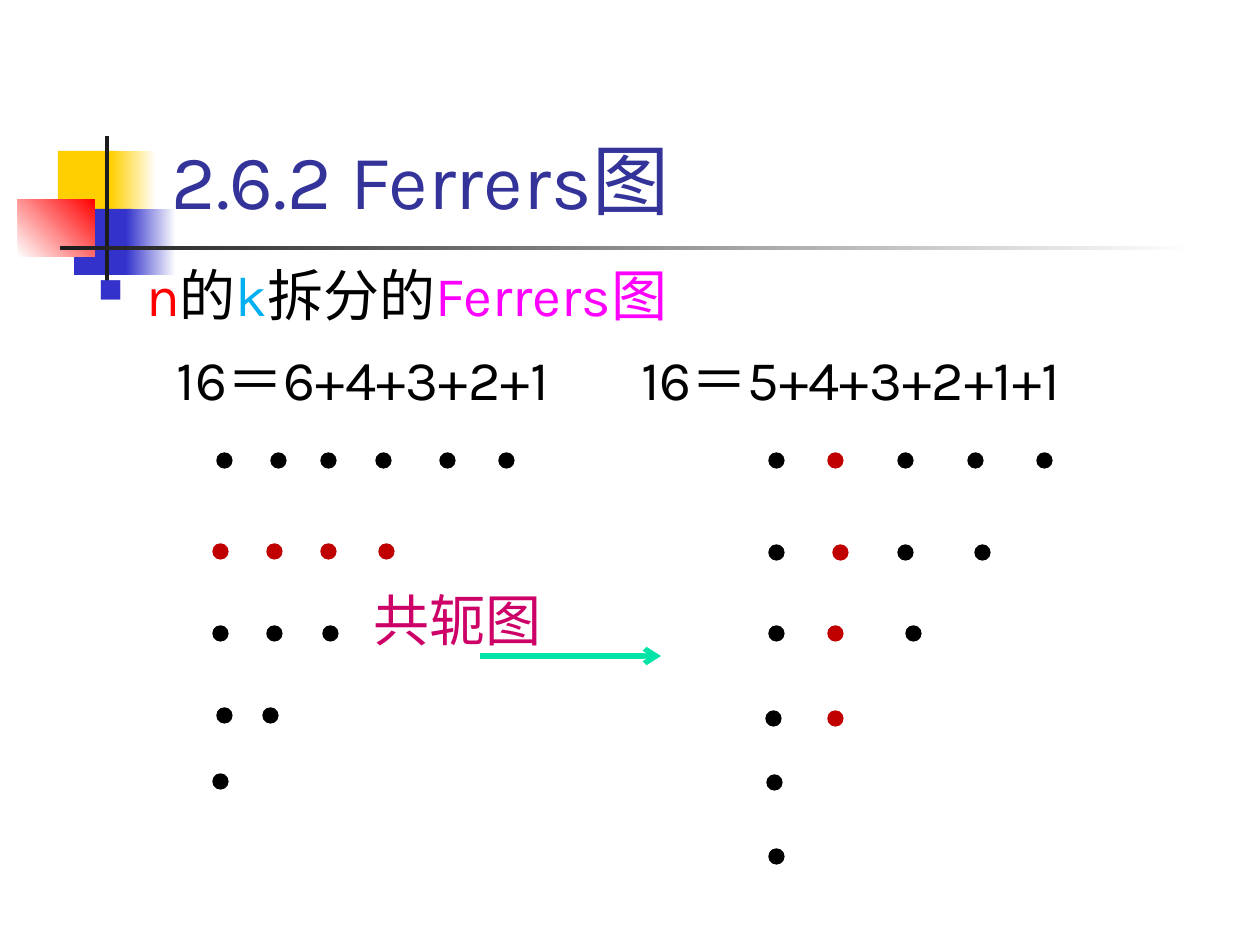
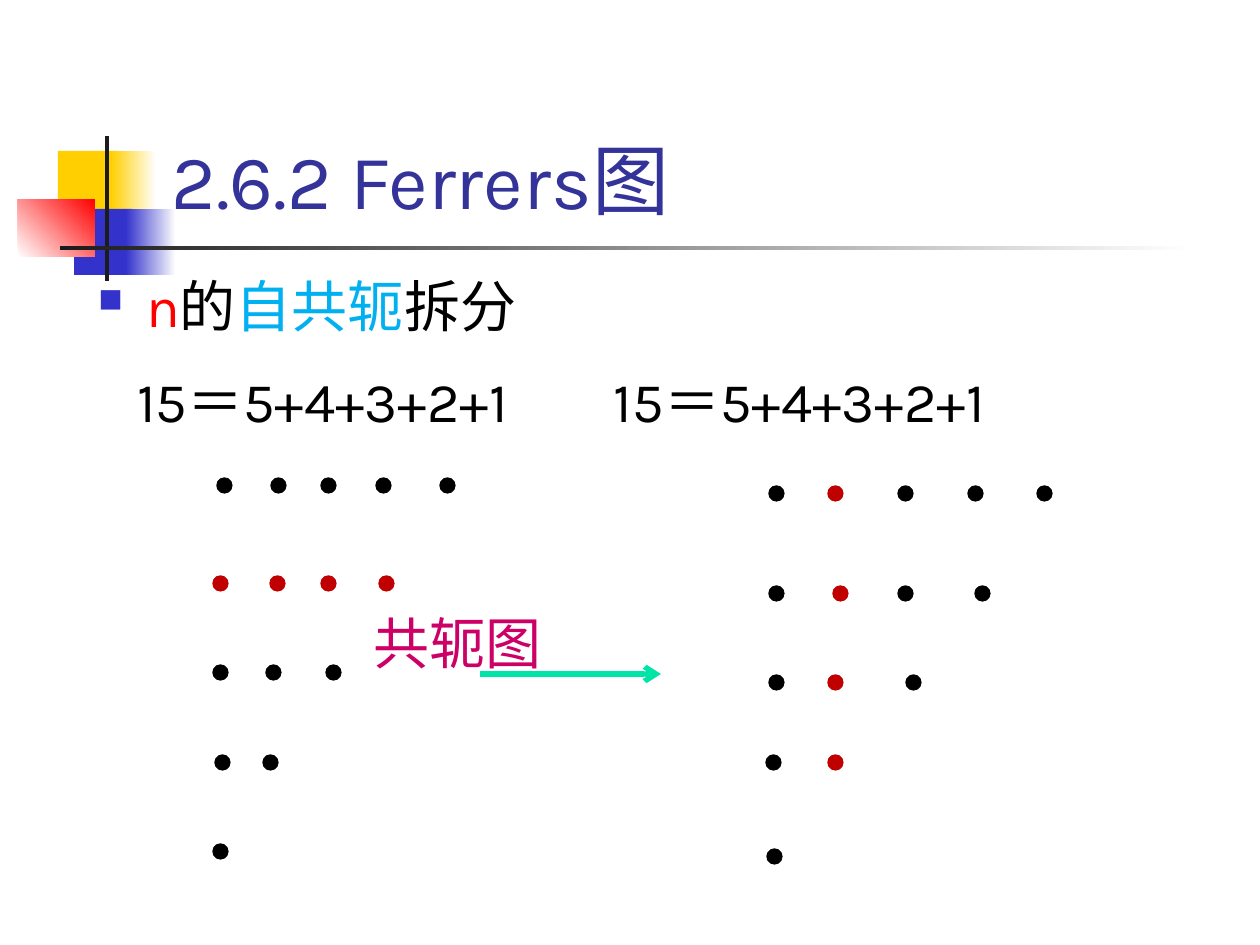
from lxml import etree
from pptx import Presentation
from pptx.dml.color import RGBColor
from pptx.enum.shapes import MSO_CONNECTOR, MSO_SHAPE
from pptx.enum.text import MSO_ANCHOR, MSO_AUTO_SIZE, PP_ALIGN
from pptx.oxml.ns import qn
from pptx.util import Emu, Pt

SCALE = 914400 / 126
RECT, OVAL = MSO_SHAPE.RECTANGLE, MSO_SHAPE.OVAL
LINE = MSO_CONNECTOR.STRAIGHT
FONT = "Karla"
TITLE = "2.6.2 Ferrers图"
DOT = 15

COLORS = {
    "white": "FFFFFF", "black": "000000", "ink": "1C1C1C", "gold": "FFCF01",
    "blue": "3333CC", "red": "FF0000", "navy": "333399", "sky": "00B0F0",
    "pink": "FF00FF", "rose": "CC0066", "dark": "C00000", "mint": "00E4A8",
}

# place, colour, second gradient colour, gradient angle
BANDS = [
    ((58, 151, 60, 66), "gold", None, 0),
    ((111, 151, 45, 66), "gold", "white", 0),
    ((74, 209, 58, 66), "blue", None, 0),
    ((126, 209, 50, 66), "blue", "white", 0),
    ((18, 199, 77, 58), "white", "red", 45),
    ((105, 136, 4, 145), "ink", None, 0),
    ((60, 246, 1134, 4), "ink", "white", 0),
]

# Left edges of the dots, row by row
RIGHT = [
    (769, 828, 898, 968, 1037),
    (769, 833, 898, 975),
    (769, 828, 906),
    (766, 828),
    (767,),
    (769,),
]

PAGES = [
    {
        "head": [("n", "red"), ("的", "black"), ("k", "sky"),
                 ("拆分的", "black"), ("Ferrers图", "pink")],
        "head_y": 261,
        "sums": [(177, "16＝6+4+3+2+1"), (641, "16＝5+4+3+2+1+1")],
        "sum_y": 344, "label_y": 585, "arrow_y": 656,
        "left": [(217, 271, 321, 376, 440, 499), (213, 267, 321, 379),
                 (213, 267, 323), (217, 263), (213,)],
        "left_ys": (453, 544, 626, 708, 774),
        "right_ys": (453, 545, 626, 711, 775, 849),
    },
    {
        "head": [("n", "red"), ("的", "black"), ("自共轭", "sky"),
                 ("拆分", "black")],
        "head_y": 271,
        "sums": [(137, "15＝5+4+3+2+1"), (614, "15＝5+4+3+2+1")],
        "sum_y": 367, "label_y": 608, "arrow_y": 674,
        "left": [(217, 271, 321, 376, 440), (213, 270, 321, 379),
                 (213, 266, 326), (215, 263), (213,)],
        "left_ys": (478, 576, 665, 755, 844),
        "right_ys": (486, 586, 675, 755, 849),
    },
]


def px(n):
    return Emu(round(n * SCALE))


def rgb(name):
    return RGBColor.from_string(COLORS[name])


def assign(obj, **values):
    for key, val in values.items():
        setattr(obj, key, val)


def add_run(para, text, color, size):
    run = para.add_run()
    run.text = text
    assign(run.font, name=FONT, size=Pt(size))
    run.font.color.rgb = rgb(color)


def add_title(slide):
    title = slide.shapes.title
    assign(title, left=px(159), top=px(29), width=px(1074), height=px(202))
    frame = title.text_frame
    assign(frame, vertical_anchor=MSO_ANCHOR.BOTTOM, word_wrap=True,
           auto_size=MSO_AUTO_SIZE.NONE)
    para = frame.paragraphs[0]
    para.alignment = PP_ALIGN.LEFT
    add_run(para, TITLE, "navy", 44)


def add_shape(slide, kind, place, color):
    shape = slide.shapes.add_shape(kind, *map(px, place))
    shape.shadow.inherit = False
    shape.fill.solid()
    shape.fill.fore_color.rgb = rgb(color)
    shape.line.fill.background()
    return shape


def add_band(slide, place, color, end, angle):
    shape = add_shape(slide, RECT, place, color)
    if end:
        shape.fill.gradient()
        shape.fill.gradient_angle = angle
        for stop, name in zip(shape.fill.gradient_stops, (color, end)):
            stop.color.rgb = rgb(name)


def add_dot(slide, x, y, color):
    dot = add_shape(slide, OVAL, (x, y, DOT, DOT), color)
    dot.line.color.rgb = rgb(color)
    dot.line.width = Pt(0.75)


def add_dots(slide, rows, ys, is_red):
    """Draw rows of dots; is_red(row, col) picks the marked ones."""
    for row, (xs, y) in enumerate(zip(rows, ys)):
        for col, x in enumerate(xs):
            add_dot(slide, x, y, "dark" if is_red(row, col) else "black")


def add_text(slide, x, y, width, runs):
    box = slide.shapes.add_textbox(px(x), px(y), px(width), px(70))
    frame = box.text_frame
    assign(frame, word_wrap=True, margin_left=0, margin_right=0,
           margin_top=0, margin_bottom=0)
    para = frame.paragraphs[0]
    for text, color in runs:
        add_run(para, text, color, 32)
    return para


def add_bullet(para):
    props = para._p.get_or_add_pPr()
    props.set("marL", str(px(48)))
    props.set("indent", str(-px(48)))
    tint = etree.SubElement(props, qn("a:buClr"))
    etree.SubElement(tint, qn("a:srgbClr"), val=COLORS["blue"])
    etree.SubElement(props, qn("a:buSzPct"), val="60000")
    etree.SubElement(props, qn("a:buFont"), typeface="Wingdings")
    etree.SubElement(props, qn("a:buChar"), char="n")


def add_arrow(slide, x, end, y):
    arrow = slide.shapes.add_connector(LINE, px(x), px(y), px(end), px(y))
    arrow.line.color.rgb = rgb("mint")
    arrow.line.width = Pt(3)
    etree.SubElement(arrow.line._get_or_add_ln(), qn("a:tailEnd"), type="arrow")
    etree.SubElement(arrow._element.spPr, qn("a:effectLst"))


def add_page(deck, page):
    slide = deck.slides.add_slide(deck.slide_layouts[5])
    for band in BANDS:
        add_band(slide, *band)
    # The title belongs in front of the bands
    tree = slide.shapes._spTree
    tree.append(slide.shapes.title._element)
    add_title(slide)
    add_bullet(add_text(slide, 98, page["head_y"], 1100, page["head"]))
    for x, text in page["sums"]:
        add_text(slide, x, page["sum_y"], 470, [(text, "black")])
    add_text(slide, 374, page["label_y"], 200, [("共轭图", "rose")])
    add_dots(slide, page["left"], page["left_ys"], lambda row, col: row == 1)
    add_dots(slide, RIGHT, page["right_ys"], lambda row, col: col == 1)
    add_arrow(slide, 480, 661, page["arrow_y"])


def main():
    deck = Presentation()
    assign(deck, slide_width=px(1260), slide_height=px(945))
    for page in PAGES:
        add_page(deck, page)
    deck.save("out.pptx")


if __name__ == "__main__":
    main()
